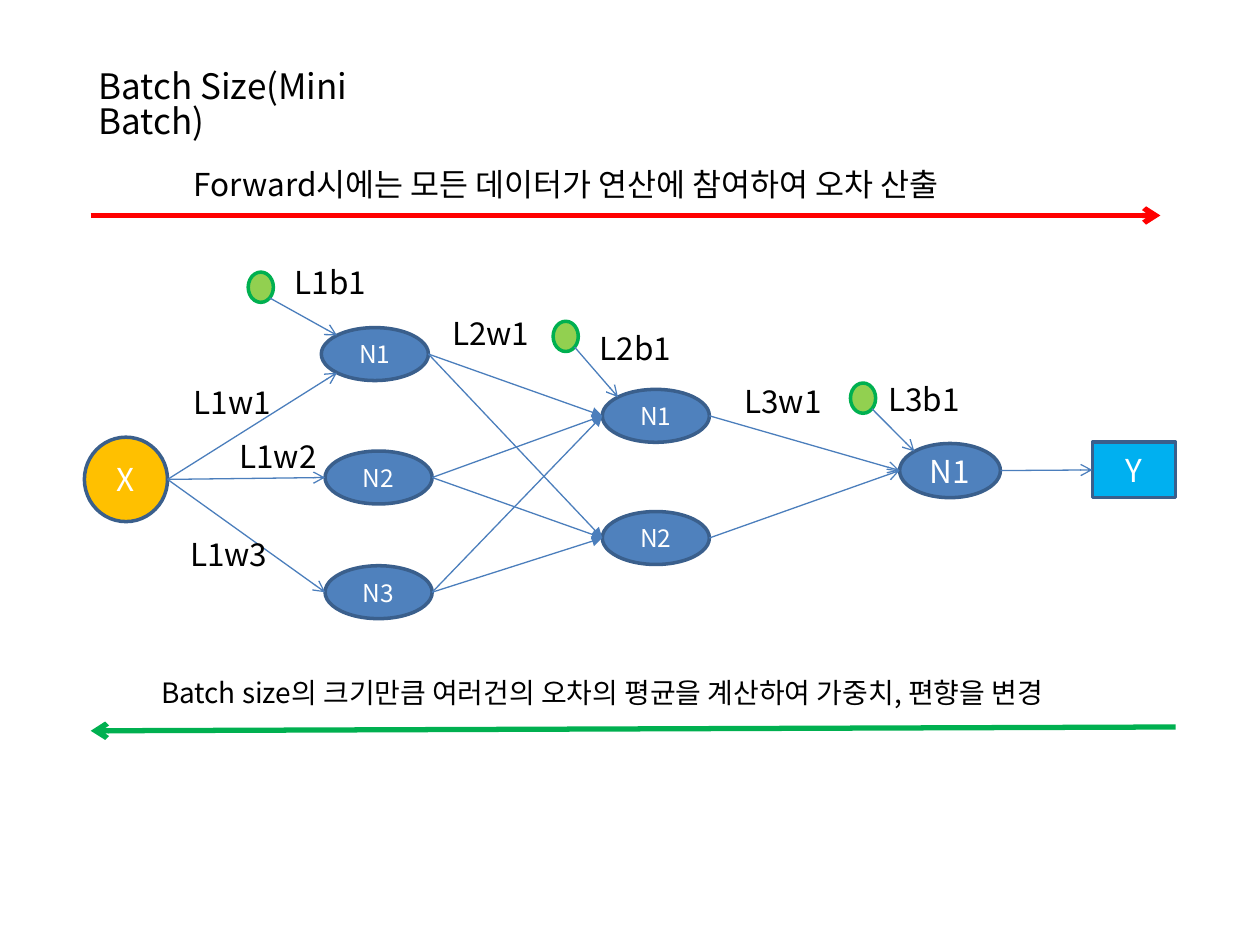
"""Build a slide on mini-batch training in a small neural network."""
from dataclasses import dataclass
from math import cos, radians, sin

from lxml import etree
from pptx import Presentation
from pptx.dml.color import RGBColor
from pptx.enum.shapes import MSO_CONNECTOR, MSO_SHAPE
from pptx.enum.text import MSO_ANCHOR, PP_ALIGN
from pptx.oxml.ns import qn
from pptx.util import Inches, Pt

OVAL, RECT = MSO_SHAPE.OVAL, MSO_SHAPE.RECTANGLE
STRAIGHT = MSO_CONNECTOR.STRAIGHT
TOP, MIDDLE = MSO_ANCHOR.TOP, MSO_ANCHOR.MIDDLE
LEFT, CENTER = PP_ALIGN.LEFT, PP_ALIGN.CENTER


@dataclass(frozen=True)
class Theme:
    font: str = "Noto Sans CJK KR"
    ink: str = "000000"
    white: str = "FFFFFF"
    node: str = "4F81BD"
    edge: str = "3A5F8C"
    link: str = "4B7EBC"
    input: str = "FFC000"
    output: str = "00B0F0"
    bias: str = "92D050"
    green: str = "00B050"
    red: str = "FF0000"
    title: int = 20
    body: int = 18
    note: int = 16
    small: int = 14
    spacing: float = 0.83


theme = Theme()


def write(shape, text, size, color, align, anchor):
    frame = shape.text_frame
    frame.text = text
    frame.word_wrap = True
    frame.vertical_anchor = anchor
    para = frame.paragraphs[0]
    para.alignment = align
    if anchor == TOP:
        para.line_spacing = theme.spacing
    font = para.font
    font.size = Pt(size)
    font.color.rgb = RGBColor.from_string(color)
    font.name = theme.font
    etree.SubElement(font._element, qn("a:ea"), typeface=theme.font)


def arrow(start, end, color, width, head):
    line = shapes.add_connector(STRAIGHT, *map(Inches, (*start, *end)))
    line.line.color.rgb = RGBColor.from_string(color)
    line.line.width = Pt(width)
    etree.SubElement(line.line._get_or_add_ln(), qn("a:tailEnd"), type=head)
    etree.SubElement(line._element.spPr, qn("a:effectLst"))


deck = Presentation()
deck.slide_width, deck.slide_height = Inches(10), Inches(7.5)
slide = deck.slides.add_slide(deck.slide_layouts[5])
shapes = slide.shapes

title = shapes.title
title.left, title.top = Inches(0.68), Inches(0.52)
title.width, title.height = Inches(3.02), Inches(0.44)
write(title, "Batch Size(Mini Batch)", theme.title, theme.ink, LEFT, TOP)

hidden = (0.85, 0.42, OVAL, theme.node, theme.edge, theme.small)
bias = (0.2, 0.24, OVAL, theme.bias, theme.green, theme.small)
nodes = {
    "x": ("X", 0.67, 3.47, 0.66, 0.67, OVAL, theme.input, theme.edge, theme.body),
    "a1": ("N1", 2.55, 2.6, *hidden),
    "a2": ("N2", 2.58, 3.58, *hidden),
    "a3": ("N3", 2.58, 4.49, *hidden),
    "b1": ("N1", 4.78, 3.09, *hidden),
    "b2": ("N2", 4.78, 4.06, *hidden),
    "c1": ("N1", 7.14, 3.52, 0.8, 0.43, OVAL, theme.node, theme.edge, theme.body),
    "y": ("Y", 8.67, 3.51, 0.66, 0.44, RECT, theme.output, theme.edge, theme.body),
    "bias1": ("", 1.97, 2.16, *bias),
    "bias2": ("", 4.39, 2.55, *bias),
    "bias3": ("", 6.75, 3.04, *bias),
}
for text, x, y, w, h, kind, fill, edge, size in nodes.values():
    node = shapes.add_shape(kind, *map(Inches, (x, y, w, h)))
    node.shadow.inherit = False
    node.fill.solid()
    node.fill.fore_color.rgb = RGBColor.from_string(fill)
    node.line.color.rgb = RGBColor.from_string(edge)
    node.line.width = Pt(2)
    if text:
        write(node, text, size, theme.white, CENTER, MIDDLE)

links = [("x", 0, "a1", 135, "arrow")]
links += [("x", 0, goal, 180, "arrow") for goal in ("a2", "a3")]
links += [(unit, 0, goal, 180, "triangle")
          for unit in ("a1", "a2", "a3") for goal in ("b1", "b2")]
links += [(unit, 0, "c1", 180, "arrow") for unit in ("b1", "b2")]
links += [("c1", 0, "y", 180, "arrow")]
links += [(dot, 45, goal, 225, "arrow")
          for dot, goal in (("bias1", "a1"), ("bias2", "b1"), ("bias3", "c1"))]
for source, out, goal, into, head in links:
    ends = []
    for name, angle in ((source, out), (goal, into)):
        x, y, w, h = nodes[name][1:5]
        turn = radians(angle)
        ends.append((x + w / 2 * (1 + cos(turn)), y + h / 2 * (1 + sin(turn))))
    arrow(*ends, theme.link, 0.75, head)

arrow((0.72, 1.71), (9.21, 1.71), theme.red, 3, "arrow")
arrow((9.33, 5.77), (0.72, 5.8), theme.green, 3, "arrow")

labels = [
    ("L1w1", 1.44, 3.04), ("L1w2", 1.8, 3.47), ("L1w3", 1.41, 4.25),
    ("L2w1", 3.49, 2.49), ("L3w1", 5.81, 3.03),
    ("L1b1", 2.24, 2.09), ("L2b1", 4.66, 2.61), ("L3b1", 6.95, 3.02),
]
texts = [(text, x, y, 0.82, 0.4, theme.body) for text, x, y in labels]
texts += [
    ("Forward시에는 모든 데이터가 연산에 참여하여 오차 산출",
     1.44, 1.31, 6.66, 0.4, theme.body),
    ("Batch size의 크기만큼 여러건의 오차의 평균을 계산하여 가중치, 편향을 변경",
     1.18, 5.36, 8.03, 0.37, theme.note),
]
for text, x, y, w, h, size in texts:
    box = shapes.add_textbox(*map(Inches, (x, y, w, h)))
    write(box, text, size, theme.ink, LEFT, TOP)

deck.save("out.pptx")
